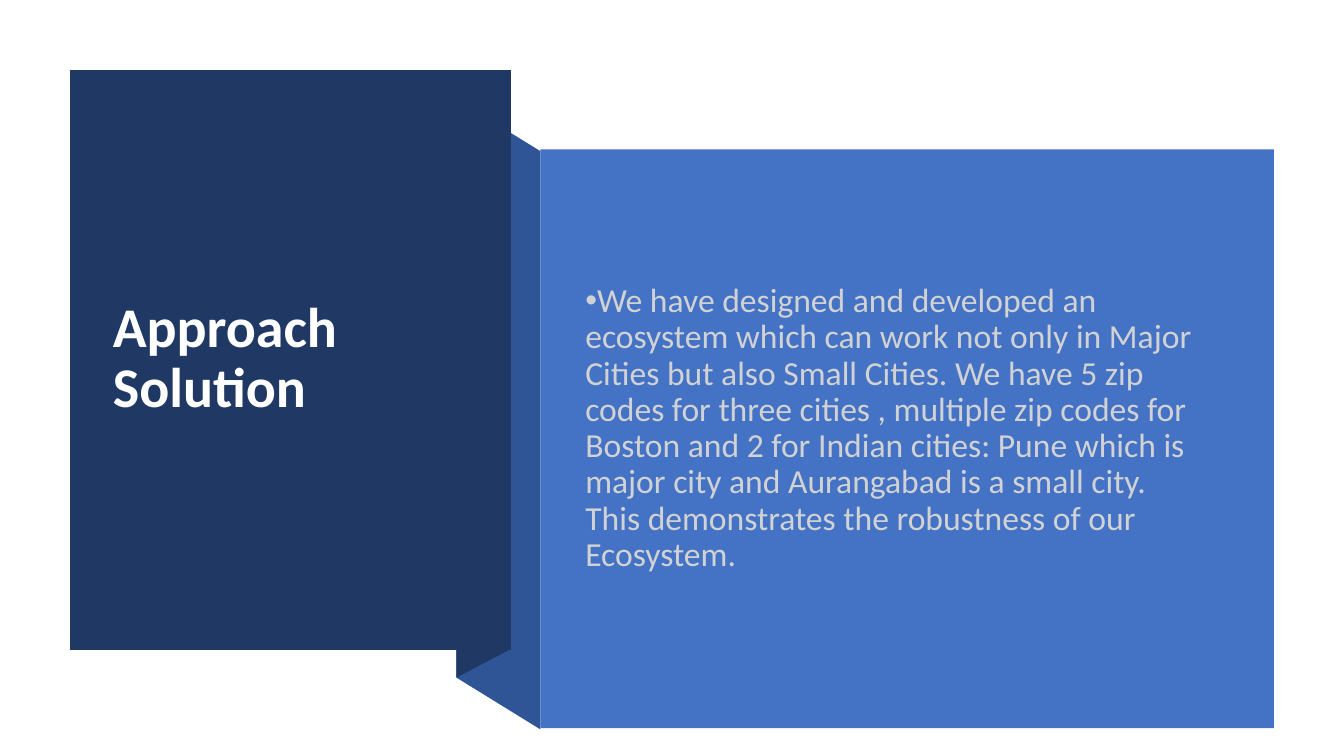
"""Build the Approach Solution slide with a folded ribbon panel."""
import pptx
import pptx.dml.color
import pptx.enum.shapes
import pptx.enum.text
import pptx.util
import lxml.etree

Pt = pptx.util.Pt

SLIDE = (960, 540)
FOLDS = [
    ("2F5597", [(386, 520.6), (326.2, 483.9), (326.2, 71.3), (386, 108)]),
    ("203864", [(364.5, 463.9), (326.2, 484.4), (326.2, 70.6), (364.5, 49.9)]),
    ("203864", [(50, 50.2), (364.8, 50.2), (364.8, 464.2), (50, 464.2)]),
]
PANEL = ("4472C4", (386, 106.7, 524, 413.5))
TITLE = ["Approach Solution"]
TITLE_BOX = (73.5, 77, 267, 359.3)
BODY = [
    "We have designed and developed an ecosystem which can work not only in "
    "Major Cities but also Small Cities. We have 5 zip codes for three cities , "
    "multiple zip codes for Boston and 2 for Indian cities: Pune which is major "
    "city and Aurangabad is a small city.",
    "This demonstrates the robustness of our Ecosystem.",
]
BODY_BOX = (411, 135.5, 468.7, 341.3)


def rgb(value):
    return pptx.dml.color.RGBColor.from_string(value)


def paint(sp, color):
    sp.shadow.inherit = False
    sp.fill.solid()
    sp.fill.fore_color.rgb = rgb(color)
    sp.line.fill.background()


def add_fold(s, color, points):
    builder = s.shapes.build_freeform(*points[0], scale=Pt(1))
    builder.add_line_segments(points[1:], close=True)
    paint(builder.convert_to_shape(), color)


def add_text(s, box, lines, size, color, bold=False):
    tf = s.shapes.add_textbox(*map(Pt, box)).text_frame
    tf.word_wrap = True
    tf.vertical_anchor = pptx.enum.text.MSO_ANCHOR.MIDDLE
    p = tf.paragraphs[0]
    p.line_spacing = 0.9
    for i, line in enumerate(lines):
        if i:
            p.add_line_break()
        r = p.add_run()
        r.text = line
        r.font.name = "Calibri"
        r.font.size = Pt(size)
        r.font.bold = bold
        r.font.color.rgb = rgb(color)
    return p


def add_bullet(p):
    pPr = p._p.get_or_add_pPr()
    ns = pptx.oxml.ns.qn
    lxml.etree.SubElement(pPr, ns("a:buFont")).set("typeface", "Arial")
    lxml.etree.SubElement(pPr, ns("a:buChar")).set("char", "•")


def main():
    prs = pptx.Presentation()
    prs.slide_width, prs.slide_height = map(Pt, SLIDE)
    s = prs.slides.add_slide(prs.slide_layouts[6])
    for color, points in FOLDS:
        add_fold(s, color, points)
    add_text(s, TITLE_BOX, TITLE, 40, "FFFFFF", bold=True)
    color, box = PANEL
    rect = pptx.enum.shapes.MSO_SHAPE.RECTANGLE
    paint(s.shapes.add_shape(rect, *map(Pt, box)), color)
    p = add_text(s, BODY_BOX, BODY, 24, "D1D2D3")
    p.space_after = Pt(8)
    add_bullet(p)
    prs.save("out.pptx")


if __name__ == "__main__":
    main()
